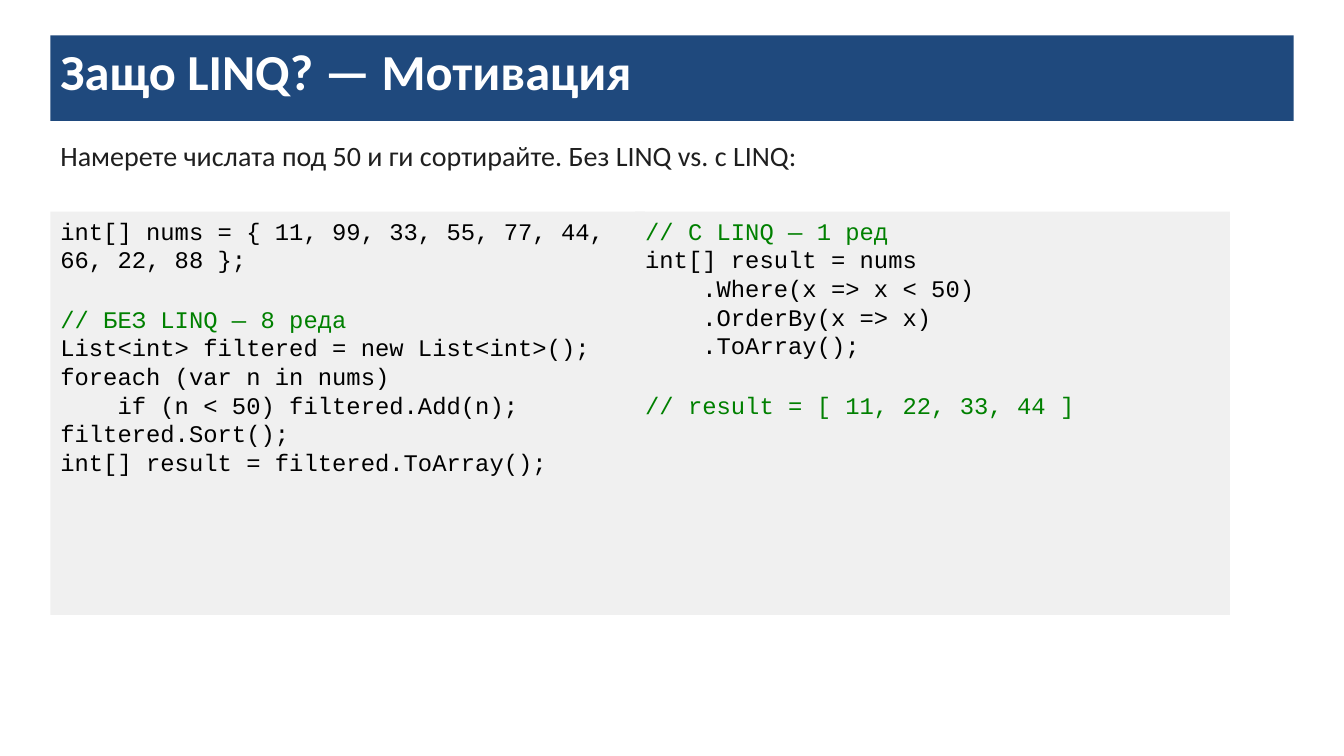
import pptx
import pptx.util
import pptx.dml.color
import pptx.enum.shapes
import pptx.enum.text

# Content
TITLE = "Защо LINQ? — Мотивация"
INTRO = "Намерете числата под 50 и ги сортирайте. Без LINQ vs. с LINQ:"
# Each panel is a list of code blocks, separated by a gap
CODE_PANELS = [
    [
        ["int[] nums = { 11, 99, 33, 55, 77, 44, 66, 22, 88 };"],
        [
            "// БЕЗ LINQ — 8 реда",
            "List<int> filtered = new List<int>();",
            "foreach (var n in nums)",
            "    if (n < 50) filtered.Add(n);",
            "filtered.Sort();",
            "int[] result = filtered.ToArray();",
        ],
    ],
    [
        [
            "// С LINQ — 1 ред",
            "int[] result = nums",
            "    .Where(x => x < 50)",
            "    .OrderBy(x => x)",
            "    .ToArray();",
        ],
        ["// result = [ 11, 22, 33, 44 ]"],
    ],
]

# Layout in inches
SLIDE_WIDTH, SLIDE_HEIGHT = 13.33, 7.5
MARGIN = 0.5
CONTENT_WIDTH = SLIDE_WIDTH - 2 * MARGIN
PANEL_TOP, PANEL_WIDTH, PANEL_HEIGHT = 2.1, 5.9, 4
PANEL_STEP = 5.8
BLOCK_GAP = 22  # points


def color(value):
    return pptx.dml.color.RGBColor.from_string(value)


def place(shape, left, top, width, height):
    inches = pptx.util.Inches
    shape.left, shape.top = inches(left), inches(top)
    shape.width, shape.height = inches(width), inches(height)
    frame = shape.text_frame
    frame.word_wrap = True
    frame.auto_size = pptx.enum.text.MSO_AUTO_SIZE.NONE
    frame.vertical_anchor = pptx.enum.text.MSO_ANCHOR.TOP


def fill(shape, value):
    shape.fill.solid()
    shape.fill.fore_color.rgb = color(value)


def add_run(paragraph, text, font, size, value, bold=False):
    paragraph.alignment = pptx.enum.text.PP_ALIGN.LEFT
    run = paragraph.add_run()
    run.text = text
    run.font.name = font
    run.font.size = pptx.util.Pt(size)
    run.font.bold = bold
    run.font.color.rgb = color(value)


def add_code_panel(slide, left, blocks):
    panel = slide.shapes.add_shape(
        pptx.enum.shapes.MSO_SHAPE.RECTANGLE, 0, 0, 0, 0)
    place(panel, left, PANEL_TOP, PANEL_WIDTH, PANEL_HEIGHT)
    fill(panel, "F0F0F0")
    panel.line.fill.background()
    panel.shadow.inherit = False
    frame = panel.text_frame
    paragraph = frame.paragraphs[0]
    for block_index, block in enumerate(blocks):
        for line_index, line in enumerate(block):
            if block_index or line_index:
                paragraph = frame.add_paragraph()
            if block_index and not line_index:
                paragraph.space_before = pptx.util.Pt(BLOCK_GAP)
            value = "008000" if line.startswith("//") else "000000"
            add_run(paragraph, line, "Courier New", 17, value)


def main():
    presentation = pptx.Presentation()
    presentation.slide_width = pptx.util.Inches(SLIDE_WIDTH)
    presentation.slide_height = pptx.util.Inches(SLIDE_HEIGHT)
    slide = presentation.slides.add_slide(presentation.slide_layouts[5])

    # Title bar
    title = slide.shapes.title
    place(title, MARGIN, 0.35, CONTENT_WIDTH, 0.85)
    fill(title, "1F497D")
    add_run(title.text_frame.paragraphs[0], TITLE, "Calibri", 36, "FFFFFF", True)

    # Introduction
    intro = slide.shapes.add_textbox(0, 0, 0, 0)
    place(intro, MARGIN, 1.32, CONTENT_WIDTH, 0.65)
    add_run(intro.text_frame.paragraphs[0], INTRO, "Calibri", 20, "1F1F1F")

    # Code panels side by side
    for index, blocks in enumerate(CODE_PANELS):
        add_code_panel(slide, MARGIN + index * PANEL_STEP, blocks)

    presentation.save("out.pptx")


if __name__ == "__main__":
    main()
